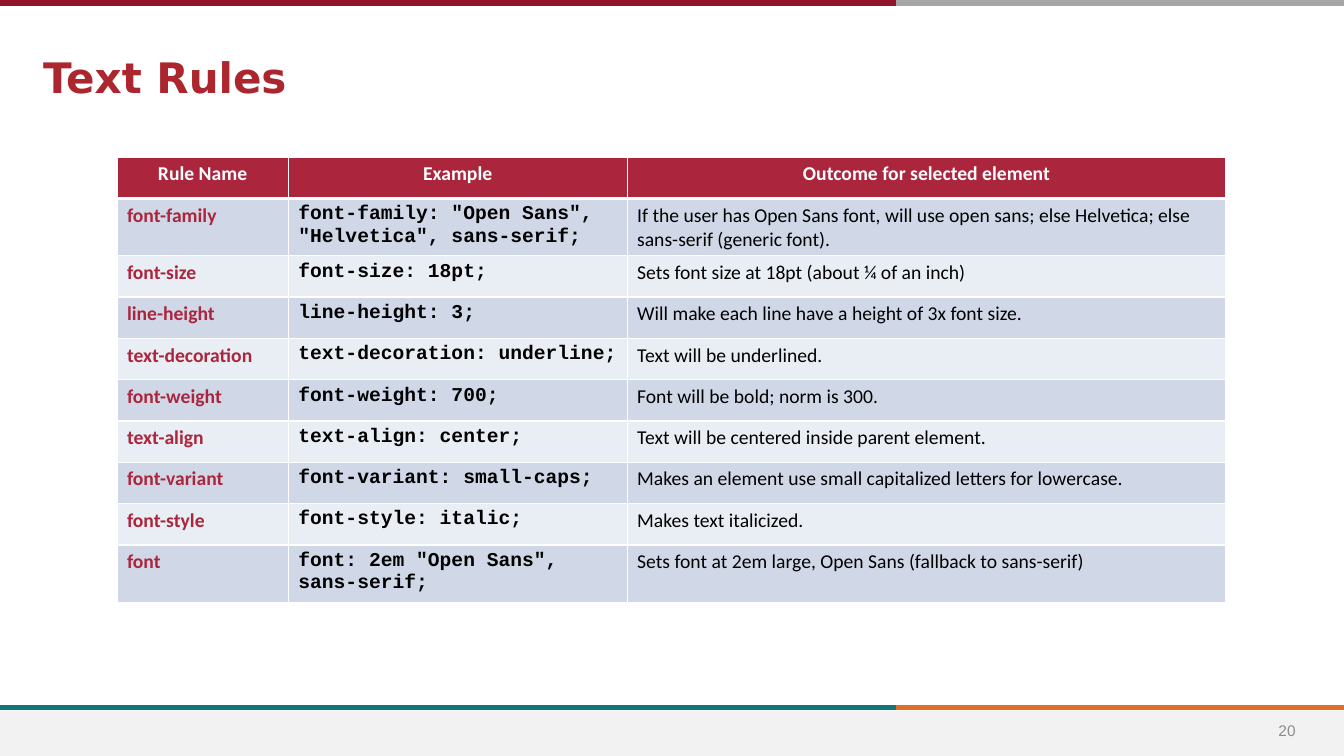
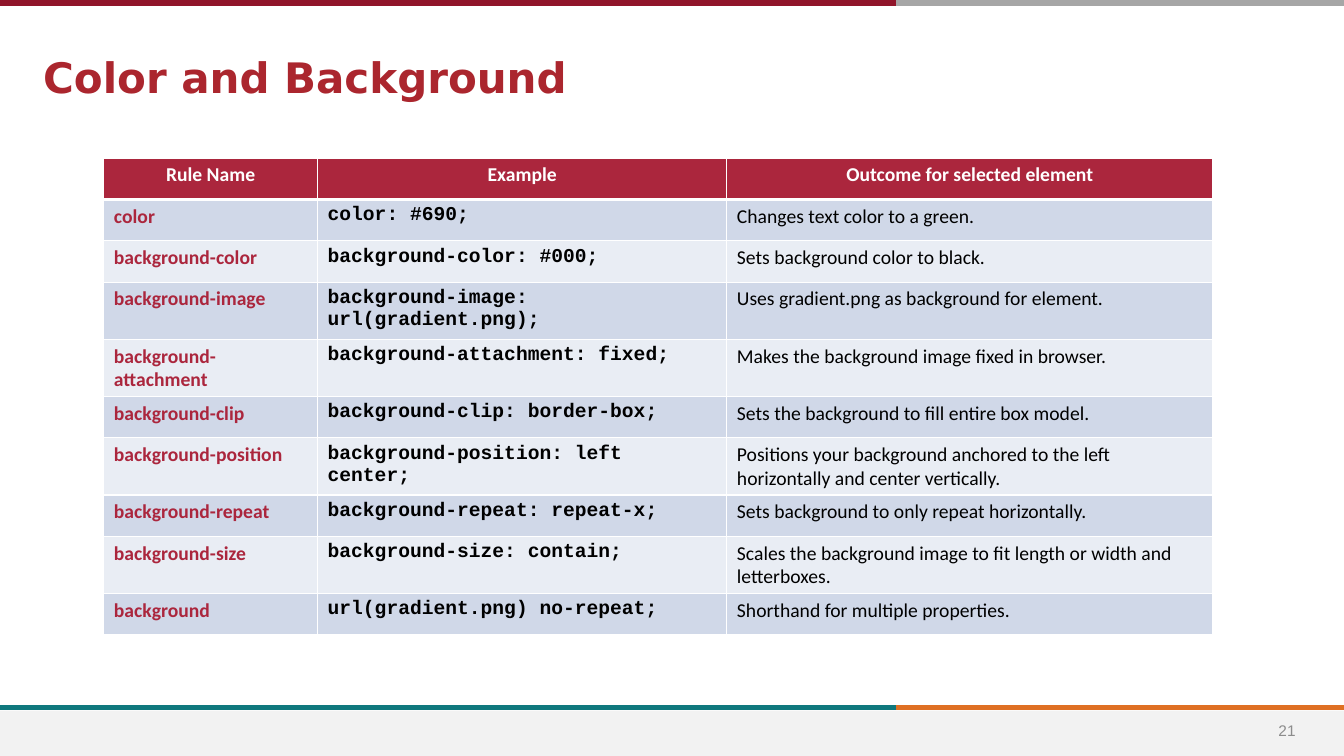
from lxml import etree
from pptx import Presentation
from pptx.dml.color import RGBColor
from pptx.enum.shapes import MSO_CONNECTOR, MSO_SHAPE
from pptx.enum.text import MSO_ANCHOR, PP_ALIGN
from pptx.oxml.ns import qn
from pptx.util import Inches, Pt

STRAIGHT = MSO_CONNECTOR.STRAIGHT
RECTANGLE = MSO_SHAPE.RECTANGLE
LEFT, CENTER = PP_ALIGN.LEFT, PP_ALIGN.CENTER
TOP, MIDDLE = MSO_ANCHOR.TOP, MSO_ANCHOR.MIDDLE

# Shared style
WIDTH, HEIGHT = 13.33, 7.5
SPLIT = 8.89
FOOTER_TOP = 7.05
TOP_COLORS = ("90152A", "A6A6A6")
BOTTOM_COLORS = ("0F787D", "DF7023")
FOOTER_FILL = "F2F2F2"
NUMBER_COLOR = "8C8C8C"
TITLE_COLOR = "AB262E"
CRIMSON, WHITE, BLACK = "AB263D", "FFFFFF", "000000"
BAND_FILLS = ("D0D8E8", "E9EDF4")
ROW_HEIGHT = 0.41

HEADER = ("Rule Name", "Example", "Outcome for selected element")
HEADER_STYLE = ("Calibri", 14, WHITE, True, CENTER)
COLUMN_STYLES = (
    ("Calibri", 14, CRIMSON, True, LEFT),
    ("Courier New", 14, BLACK, True, LEFT),
    ("Calibri", 14, BLACK, False, LEFT),
)

TEXT_RULES = [
    ("font-family", 'font-family: "Open Sans", "Helvetica", sans-serif;',
     "If the user has Open Sans font, will use open sans; else Helvetica; "
     "else sans-serif (generic font)."),
    ("font-size", "font-size: 18pt;", "Sets font size at 18pt (about ¼ of an inch)"),
    ("line-height", "line-height: 3;",
     "Will make each line have a height of 3x font size."),
    ("text-decoration", "text-decoration: underline;", "Text will be underlined."),
    ("font-weight", "font-weight: 700;", "Font will be bold; norm is 300."),
    ("text-align", "text-align: center;",
     "Text will be centered inside parent element."),
    ("font-variant", "font-variant: small-caps;",
     "Makes an element use small capitalized letters for lowercase."),
    ("font-style", "font-style: italic;", "Makes text italicized."),
    ("font", 'font: 2em "Open Sans", sans-serif;',
     "Sets font at 2em large, Open Sans (fallback to sans-serif)"),
]

BACKGROUND_RULES = [
    ("color", "color: #690;", "Changes text color to a green."),
    ("background-color", "background-color: #000;",
     "Sets background color to black."),
    ("background-image", "background-image: url(gradient.png);",
     "Uses gradient.png as background for element."),
    ("background-attachment", "background-attachment: fixed;",
     "Makes the background image fixed in browser."),
    ("background-clip", "background-clip: border-box;",
     "Sets the background to fill entire box model."),
    ("background-position", "background-position: left center;",
     "Positions your background anchored to the left horizontally "
     "and center vertically."),
    ("background-repeat", "background-repeat: repeat-x;",
     "Sets background to only repeat horizontally."),
    ("background-size", "background-size: contain;",
     "Scales the background image to fit length or width and letterboxes."),
    ("background", "url(gradient.png) no-repeat;",
     "Shorthand for multiple properties."),
]

# Title, slide number, table left and top, column widths, rules
SLIDES = [
    ("Text Rules", 20, 1.16, 1.56, (1.7, 3.36, 5.94), TEXT_RULES),
    ("Color and Background", 21, 1.03, 1.57, (2.12, 4.06, 4.82), BACKGROUND_RULES),
]


def rgb(color):
    return RGBColor.from_string(color)


def write(text_frame, text, style):
    name, size, color, bold, alignment = style
    paragraph = text_frame.paragraphs[0]
    paragraph.text = text
    paragraph.alignment = alignment
    font = paragraph.font
    font.name, font.size, font.bold = name, Pt(size), bold
    font.color.rgb = rgb(color)


def add_text(slide, box, text, style, anchor=TOP):
    text_frame = slide.shapes.add_textbox(*map(Inches, box)).text_frame
    text_frame.word_wrap = True
    text_frame.vertical_anchor = anchor
    write(text_frame, text, style)


def add_stripe(slide, y, colors):
    """Draw a two-colour line across the slide."""
    for start, end, color in zip((0, SPLIT), (SPLIT, WIDTH), colors):
        line = slide.shapes.add_connector(
            STRAIGHT, Inches(start), Inches(y), Inches(end), Inches(y))
        line.line.color.rgb = rgb(color)
        line.line.width = Pt(4)
        etree.SubElement(line._element.spPr, qn("a:effectLst"))


def add_frame(slide, title, number):
    """Add the bands, slide number and title that every slide has."""
    footer = slide.shapes.add_shape(
        RECTANGLE, 0, Inches(FOOTER_TOP), Inches(WIDTH), Inches(HEIGHT - FOOTER_TOP))
    footer.shadow.inherit = False
    footer.fill.solid()
    footer.fill.fore_color.rgb = rgb(FOOTER_FILL)
    footer.line.fill.background()
    add_stripe(slide, FOOTER_TOP - 0.03, BOTTOM_COLORS)
    add_stripe(slide, 0.03, TOP_COLORS)
    add_text(slide, (12.42, FOOTER_TOP, 0.69, 0.4), str(number),
             ("Arial", 11, NUMBER_COLOR, False, CENTER), MIDDLE)
    add_text(slide, (0.33, 0.46, 10.65, 0.59), title,
             ("DejaVu Sans", 30, TITLE_COLOR, True, LEFT))


def set_borders(cell, top, bottom):
    """Give a cell white borders; widths are in points."""
    properties = cell._tc.get_or_add_tcPr()
    for side, width in (("L", 1), ("R", 1), ("T", top), ("B", bottom)):
        border = etree.SubElement(properties, qn(f"a:ln{side}"), w=str(Pt(width)))
        fill = etree.SubElement(border, qn("a:solidFill"))
        etree.SubElement(fill, qn("a:srgbClr"), val=WHITE)


def add_rule_table(slide, left, top, widths, rules):
    rows = [HEADER] + rules
    table = slide.shapes.add_table(
        len(rows), len(widths), Inches(left), Inches(top),
        Inches(sum(widths)), Inches(ROW_HEIGHT * len(rows))).table
    for column, width in zip(table.columns, widths):
        column.width = Inches(width)
    for row_index, row in enumerate(rows):
        is_header = row_index == 0
        table.rows[row_index].height = Inches(ROW_HEIGHT)
        fill = CRIMSON if is_header else BAND_FILLS[(row_index - 1) % 2]
        for column_index, text in enumerate(row):
            cell = table.cell(row_index, column_index)
            set_borders(cell, 3 if row_index == 1 else 1, 3 if is_header else 1)
            cell.fill.solid()
            cell.fill.fore_color.rgb = rgb(fill)
            style = HEADER_STYLE if is_header else COLUMN_STYLES[column_index]
            write(cell.text_frame, text, style)


def main():
    presentation = Presentation()
    presentation.slide_width = Inches(WIDTH)
    presentation.slide_height = Inches(HEIGHT)
    blank = presentation.slide_layouts[6]
    for title, number, left, top, widths, rules in SLIDES:
        slide = presentation.slides.add_slide(blank)
        add_frame(slide, title, number)
        add_rule_table(slide, left, top, widths, rules)
    presentation.save("out.pptx")


if __name__ == "__main__":
    main()
